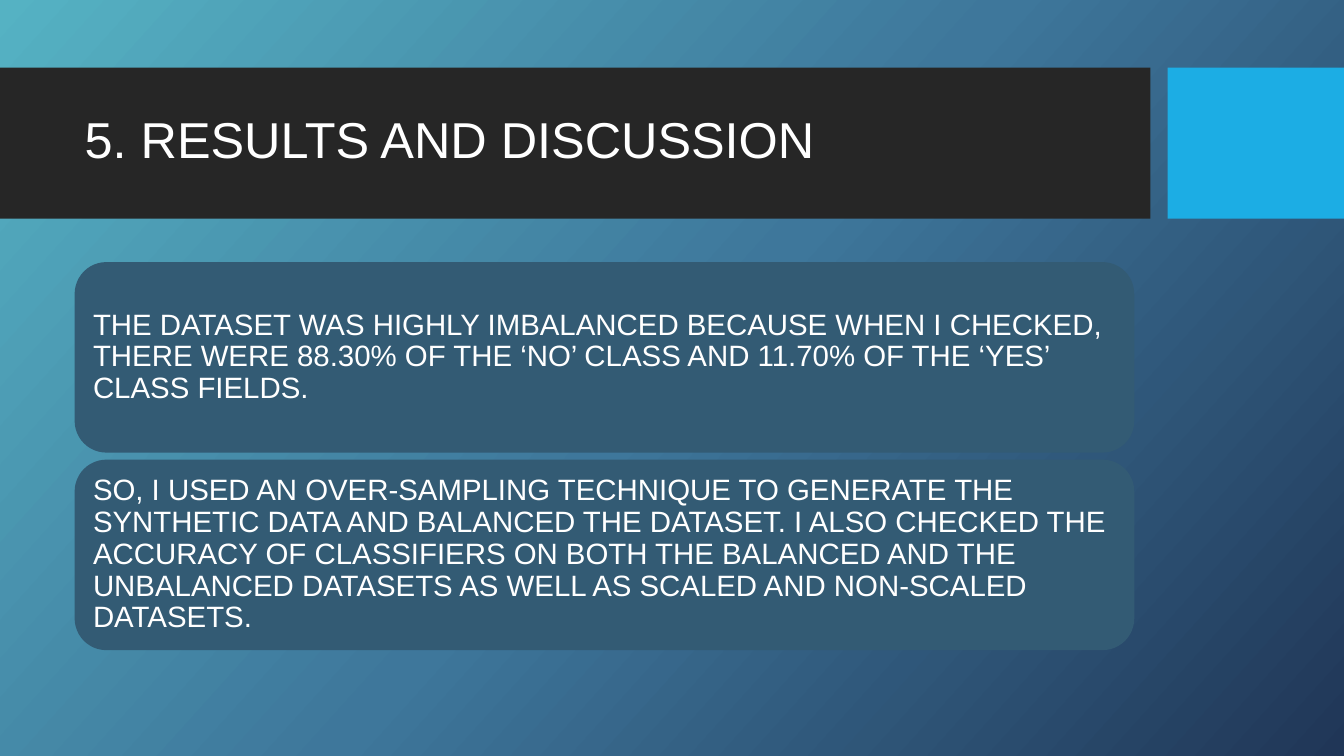
"""Build the results and discussion slide."""
from copy import deepcopy
from dataclasses import dataclass

from pptx import Presentation
from pptx.dml.color import RGBColor
from pptx.enum.shapes import MSO_SHAPE
from pptx.enum.text import MSO_ANCHOR, MSO_AUTO_SIZE, PP_ALIGN
from pptx.oxml.ns import qn
from pptx.util import Inches, Pt

RECTANGLE = MSO_SHAPE.RECTANGLE
ROUNDED = MSO_SHAPE.ROUNDED_RECTANGLE
MIDDLE = MSO_ANCHOR.MIDDLE
LEFT = PP_ALIGN.LEFT
NO_AUTOFIT = MSO_AUTO_SIZE.NONE

TITLE = "5. RESULTS AND DISCUSSION"
FINDINGS = [
    "THE DATASET WAS HIGHLY IMBALANCED BECAUSE WHEN I CHECKED, THERE WERE 88.30% "
    "OF THE ‘NO’ CLASS AND 11.70% OF THE ‘YES’ CLASS FIELDS.",
    "SO, I USED AN OVER-SAMPLING TECHNIQUE TO GENERATE THE SYNTHETIC DATA AND "
    "BALANCED THE DATASET. I ALSO CHECKED THE ACCURACY OF CLASSIFIERS ON BOTH THE "
    "BALANCED AND THE UNBALANCED DATASETS AS WELL AS SCALED AND NON-SCALED DATASETS.",
]


@dataclass(frozen=True)
class Theme:
    """Colours, font and type sizes."""
    font: str = "Arial"
    text: str = "FFFFFF"
    band: str = "262626"
    accent: str = "1CADE4"
    card: str = "335B74"
    gradient: tuple = ((0, "55B2C3"), (0.5, "3E779B"), (1, "203657"))
    gradient_angle: int = 42
    title_size: int = 36
    body_size: int = 21


THEME = Theme()
SLIDE_WIDTH, SLIDE_HEIGHT = 13.33, 7.5
BAND_TOP, BAND_HEIGHT = 0.67, 1.5
BAND_WIDTH, ACCENT_LEFT = 11.41, 11.58
CONTENT_LEFT, CONTENT_WIDTH = 0.74, 10.51
TITLE_TOP, TITLE_HEIGHT = 0.82, 1.18
CARD_TOP, CARD_HEIGHT, CARD_GAP = 2.6, 1.89, 0.07


def paint_background(slide):
    """Fill the background with the theme gradient."""
    fill = slide.background.fill
    fill.gradient()
    fill.gradient_angle = 360 - THEME.gradient_angle
    stop_list = slide.element.find(".//" + qn("a:gsLst"))
    stop_list.append(deepcopy(stop_list[0]))
    for stop, (position, color) in zip(fill.gradient_stops, THEME.gradient):
        stop.position = position
        stop.color.rgb = RGBColor.from_string(color)


def add_block(slide, kind, box, color):
    """Add a plain filled shape."""
    shape = slide.shapes.add_shape(kind, *map(Inches, box))
    shape.shadow.inherit = False
    shape.fill.solid()
    shape.fill.fore_color.rgb = RGBColor.from_string(color)
    shape.line.fill.background()
    return shape


def write_text(shape, text, size, inset=0.1, color=THEME.text):
    """Write one left-aligned paragraph, centred vertically."""
    frame = shape.text_frame
    frame.text = text
    frame.word_wrap = True
    frame.auto_size = NO_AUTOFIT
    frame.vertical_anchor = MIDDLE
    frame.margin_left = frame.margin_right = Inches(inset)
    frame.margin_top = frame.margin_bottom = Inches(inset)
    paragraph = frame.paragraphs[0]
    paragraph.alignment = LEFT
    paragraph.line_spacing = 0.9
    paragraph.space_before = Pt(0)
    paragraph.font.name = THEME.font
    paragraph.font.size = Pt(size)
    paragraph.font.color.rgb = RGBColor.from_string(color)


def main():
    """Create and save the presentation."""
    presentation = Presentation()
    presentation.slide_width = Inches(SLIDE_WIDTH)
    presentation.slide_height = Inches(SLIDE_HEIGHT)
    slide = presentation.slides.add_slide(presentation.slide_layouts[5])
    paint_background(slide)

    title = slide.shapes.title
    title.left, title.top = Inches(CONTENT_LEFT), Inches(TITLE_TOP)
    title.width, title.height = Inches(CONTENT_WIDTH), Inches(TITLE_HEIGHT)
    write_text(title, TITLE, THEME.title_size)

    bands = [
        (0, BAND_WIDTH, THEME.band),
        (ACCENT_LEFT, SLIDE_WIDTH - ACCENT_LEFT, THEME.accent),
    ]
    for left, width, color in bands:
        band = add_block(slide, RECTANGLE, (left, BAND_TOP, width, BAND_HEIGHT), color)
        title.element.addprevious(band.element)

    for index, finding in enumerate(FINDINGS):
        top = CARD_TOP + index * (CARD_HEIGHT + CARD_GAP)
        box = (CONTENT_LEFT, top, CONTENT_WIDTH, CARD_HEIGHT)
        card = add_block(slide, ROUNDED, box, THEME.card)
        write_text(card, finding, THEME.body_size, inset=0.09)

    presentation.save("out.pptx")


if __name__ == "__main__":
    main()
